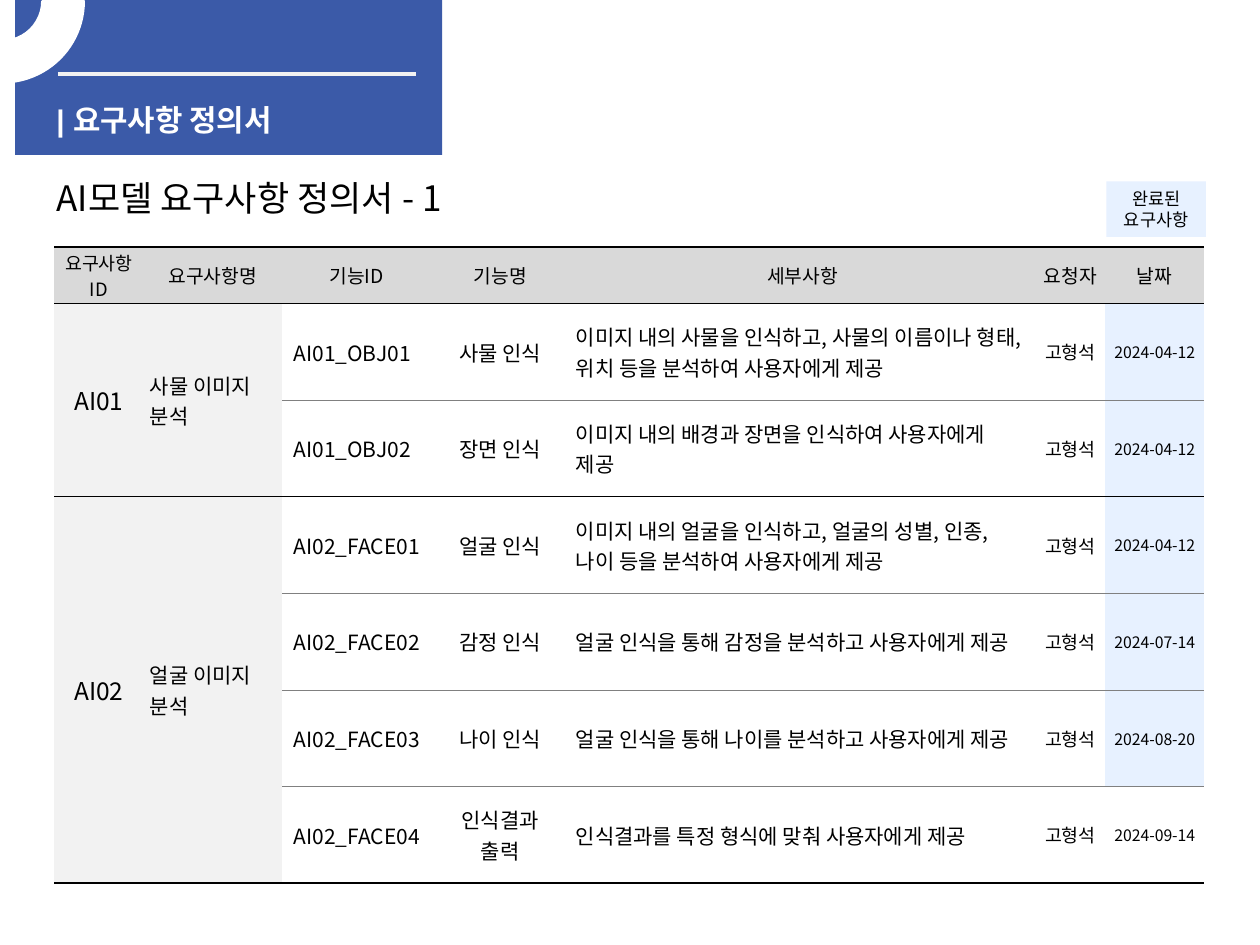
from pptx import Presentation
from pptx.dml.color import RGBColor
from pptx.enum.shapes import MSO_CONNECTOR, MSO_SHAPE
from pptx.enum.text import MSO_ANCHOR, PP_ALIGN
from pptx.oxml.ns import qn
from pptx.util import Inches, Pt
from lxml import etree

RECTANGLE, ARC = MSO_SHAPE.RECTANGLE, MSO_SHAPE.BLOCK_ARC
STRAIGHT = MSO_CONNECTOR.STRAIGHT
MIDDLE = MSO_ANCHOR.MIDDLE
LEFT, CENTER = PP_ALIGN.LEFT, PP_ALIGN.CENTER

KOREAN_FONT = "Noto Sans CJK KR"
BLUE, PALE_BLUE = "3B5AA8", "E7F1FF"
WHITE, BLACK = "FFFFFF", "000000"
PALE_GRAY, MID_GRAY, DARK_GRAY = "F2F2F2", "D9D9D9", "808080"

HEADERS = ["요구사항ID", "요구사항명", "기능ID", "기능명", "세부사항", "요청자", "날짜"]
REQUESTER = "고형석"
# Requirement ID, requirement name, functions (ID, name, details, date, done)
GROUPS = [
    ("AI01", "사물 이미지 분석", [
        ("AI01_OBJ01", "사물 인식",
         "이미지 내의 사물을 인식하고, 사물의 이름이나 형태, 위치 등을 분석하여 사용자에게 제공",
         "2024-04-12", True),
        ("AI01_OBJ02", "장면 인식",
         "이미지 내의 배경과 장면을 인식하여 사용자에게 제공", "2024-04-12", True),
    ]),
    ("AI02", "얼굴 이미지 분석", [
        ("AI02_FACE01", "얼굴 인식",
         "이미지 내의 얼굴을 인식하고, 얼굴의 성별, 인종, 나이 등을 분석하여 사용자에게 제공",
         "2024-04-12", True),
        ("AI02_FACE02", "감정 인식",
         "얼굴 인식을 통해 감정을 분석하고 사용자에게 제공", "2024-07-14", True),
        ("AI02_FACE03", "나이 인식",
         "얼굴 인식을 통해 나이를 분석하고 사용자에게 제공", "2024-08-20", True),
        ("AI02_FACE04", "인식결과\n출력",
         "인식결과를 특정 형식에 맞춰 사용자에게 제공", "2024-09-14", False),
    ]),
]
COLUMN_WIDTHS = [0.71, 1.1, 1.18, 1.1, 3.7, 0.55, 0.79]
COLUMN_SIZES = [14, 12, 12, 12, 12, 10.5, 9]
COLUMN_ALIGNS = [CENTER, LEFT, LEFT, CENTER, LEFT, CENTER, CENTER]
FUNCTION_ID_COLUMN, DETAILS_COLUMN, DATE_COLUMN = 2, 4, 6
HEADER_HEIGHT = 0.45
HEAVY, GROUP_LINE, THIN = (BLACK, 1), (BLACK, 0.5), (DARK_GRAY, 0.5)


def color(value):
    return RGBColor.from_string(value)


def write(frame, text, size, align=LEFT, fill=BLACK, font=KOREAN_FONT, bold=False):
    frame.word_wrap = True
    for index, line in enumerate(text.split("\n")):
        para = frame.paragraphs[0] if index == 0 else frame.add_paragraph()
        para.alignment = align
        span = para.add_run()
        span.text = line
        span.font.name, span.font.size, span.font.bold = font, Pt(size), bold
        span.font.color.rgb = color(fill)
        properties = span.font._element
        properties.set("kern", "0")
        etree.SubElement(properties, qn("a:ea")).set("typeface", KOREAN_FONT)


def add_filled(page, kind, box, fill):
    shape = page.shapes.add_shape(kind, *map(Inches, box))
    shape.shadow.inherit = False
    shape.fill.solid()
    shape.fill.fore_color.rgb = color(fill)
    shape.line.fill.background()
    return shape


def add_text(page, box, *args, **style):
    text_box = page.shapes.add_textbox(*map(Inches, box))
    write(text_box.text_frame, *args, **style)


def set_borders(cell, top, bottom):
    properties = cell._tc.get_or_add_tcPr()
    sides = [("a:lnL", None), ("a:lnR", None), ("a:lnT", top), ("a:lnB", bottom)]
    for index, (tag, edge) in enumerate(sides):
        line = etree.Element(qn(tag))
        properties.insert(index, line)
        if edge is None:
            etree.SubElement(line, qn("a:noFill"))
            continue
        shade, width = edge
        line.set("w", str(Pt(width)))
        solid = etree.SubElement(line, qn("a:solidFill"))
        etree.SubElement(solid, qn("a:srgbClr")).set("val", shade)


def style_cell(cell, top, bottom, fill=None):
    cell.vertical_anchor = MIDDLE
    cell.margin_left = cell.margin_right = Inches(0.05)
    cell.margin_top = cell.margin_bottom = Inches(0.01)
    if fill:
        cell.fill.solid()
        cell.fill.fore_color.rgb = color(fill)
    else:
        cell.fill.background()
    set_borders(cell, top, bottom)


def add_banner(page, left, top, width, height):
    add_filled(page, RECTANGLE, (left, top, width, height), BLUE)
    add_text(page, (left + 0.23, top + 0.76, 3.23, 0.3), "| 요구사항 정의서", 17,
             fill=WHITE, font="Arial", bold=True)

    # Ring in the corner
    ring = add_filled(page, ARC, (left - 0.75, top - 0.63, 1.29, 1.28), WHITE)
    ring.line.color.rgb = color(WHITE)
    ring.line.width = Pt(2)
    ring.adjustments[0] = 161.59 * 0.6  # degrees in 60000ths, scaled by 100000
    ring.adjustments[1] = 0
    ring.adjustments[2] = 0.25
    ring._element.spPr.find(qn("a:xfrm")).set("flipV", "1")

    # Rule above the heading
    rule_y = Inches(top + 0.59)
    rule = page.shapes.add_connector(
        STRAIGHT, Inches(left + 0.34), rule_y, Inches(left + 3.18), rule_y)
    rule.line.color.rgb = color(PALE_GRAY)
    rule.line.width = Pt(2.25)
    etree.SubElement(rule._element.spPr, qn("a:effectLst"))


def add_requirements(page, left, top, width, height):
    row_count = 1 + sum(len(functions) for _, _, functions in GROUPS)
    row_height = (height - HEADER_HEIGHT) / (row_count - 1)
    table = page.shapes.add_table(
        row_count, len(HEADERS), *map(Inches, (left, top, width, height))).table
    table.first_row = table.horz_banding = False
    for column, column_width in zip(table.columns, COLUMN_WIDTHS):
        column.width = Inches(column_width)
    for index, row in enumerate(table.rows):
        row.height = Inches(row_height if index else HEADER_HEIGHT)

    # Header row
    for index, header in enumerate(HEADERS):
        cell = table.cell(0, index)
        style_cell(cell, HEAVY, HEAVY, MID_GRAY)
        write(cell.text_frame, header, 11 if index else 10.5, CENTER)

    # One merged block of rows for each requirement
    first = 1
    for requirement_id, requirement, functions in GROUPS:
        last = first + len(functions) - 1
        group_top = HEAVY if first == 1 else GROUP_LINE
        group_bottom = HEAVY if last == row_count - 1 else GROUP_LINE
        for row, function in enumerate(functions, first):
            function_id, name, details, date, done = function
            edges = (group_top if row == first else THIN,
                     group_bottom if row == last else THIN)
            values = [requirement_id, requirement, function_id, name, details,
                      REQUESTER, date]
            for index, value in enumerate(values):
                cell = table.cell(row, index)
                if index < FUNCTION_ID_COLUMN:
                    style_cell(cell, group_top, group_bottom, PALE_GRAY)
                else:
                    marked = done and index == DATE_COLUMN
                    style_cell(cell, *edges, PALE_BLUE if marked else None)
                if index == FUNCTION_ID_COLUMN:
                    cell.margin_left = Inches(0.09)
                elif index == DETAILS_COLUMN:
                    cell.margin_right = Inches(0.1)
                if index >= FUNCTION_ID_COLUMN or row == first:
                    write(cell.text_frame, value, COLUMN_SIZES[index],
                          COLUMN_ALIGNS[index])
        for index in range(FUNCTION_ID_COLUMN):
            table.cell(first, index).merge(table.cell(last, index))
        first = last + 1


def add_legend(page, *box):
    legend = add_filled(page, RECTANGLE, box, PALE_BLUE)
    legend.text_frame.vertical_anchor = MIDDLE
    write(legend.text_frame, "완료된 요구사항", 10, CENTER)


def main():
    deck = Presentation()
    deck.slide_width, deck.slide_height = Inches(10), Inches(7.5)
    page = deck.slides.add_slide(deck.slide_layouts[6])
    add_banner(page, 0.12, 0, 3.39, 1.23)
    add_requirements(page, 0.43, 1.96, 9.13, 5.05)
    add_text(page, (0.35, 1.35, 3.5, 0.44), "AI모델 요구사항 정의서 - 1", 20)
    add_legend(page, 8.78, 1.44, 0.79, 0.44)
    deck.save("out.pptx")


if __name__ == "__main__":
    main()
